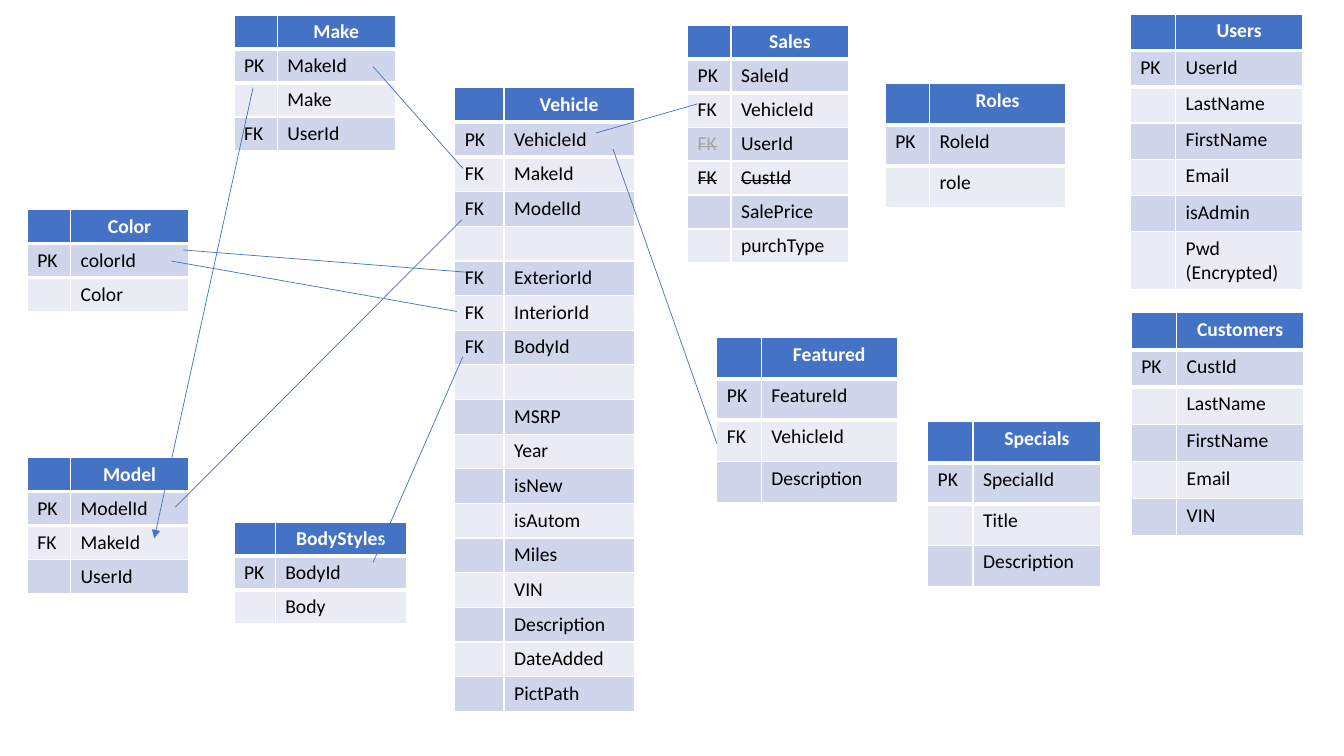
import dataclasses

import pptx
import pptx.dml.color
import pptx.enum.shapes
import pptx.enum.text
import pptx.oxml.ns
import pptx.util
from lxml import etree

Inches = pptx.util.Inches
Pt = pptx.util.Pt
RGB = pptx.dml.color.RGBColor.from_string
qn = pptx.oxml.ns.qn


@dataclasses.dataclass(frozen=True)
class Theme:
    head: str = "4472C4"
    bands: tuple = ("CFD5EA", "E9EBF5")
    light: str = "FFFFFF"
    dark: str = "000000"
    faded: str = "A6A6A6"
    font: str = "Calibri"
    size: int = 14
    line: float = 0.5
    rule: int = 3


THEME = Theme()

# name: left, top, key width, field width, row height, fields as "key name"
TABLES = {
    "Vehicle": (4.51, 0.87, 0.49, 1.29, 0.344, [
        "PK VehicleId", "FK MakeId", "FK ModelId", "", "FK ExteriorId",
        "FK InteriorId", "FK BodyId", "", " MSRP", " Year", " isNew",
        " isAutom", " Miles", " VIN", " Description", " DateAdded", " PictPath"]),
    "Users": (11.21, 0.14, 0.45, 1.26, 0.36, [
        "PK UserId", " LastName", " FirstName", " Email", " isAdmin",
        " Pwd (Encrypted)"]),
    "Specials": (9.2, 4.18, 0.45, 1.27, 0.41, [
        "PK SpecialId", " Title", " Description"]),
    "Featured": (7.11, 3.35, 0.44, 1.35, 0.41, [
        "PK FeatureId", "FK VehicleId", " Description"]),
    "Color": (0.27, 2.08, 0.43, 1.17, 0.33, ["PK colorId", " Color"]),
    "BodyStyles": (2.32, 5.18, 0.41, 1.3, 0.33, ["PK BodyId", " Body"]),
    "Make": (2.32, 0.15, 0.43, 1.17, 0.33, ["PK MakeId", " Make", "FK UserId"]),
    "Model": (0.27, 4.54, 0.43, 1.17, 0.33, [
        "PK ModelId", "FK MakeId", " UserId"]),
    "Sales": (6.82, 0.25, 0.43, 1.17, 0.33, [
        "PK SaleId", "FK VehicleId", "FK UserId", "FK CustId", " SalePrice",
        " purchType"]),
    "Customers": (11.22, 3.1, 0.45, 1.26, 0.37, [
        "PK CustId", " LastName", " FirstName", " Email", " VIN"]),
    "Roles": (8.78, 0.83, 0.44, 1.35, 0.41, ["PK RoleId", " role"]),
}
LAST = {"Users": 0.55}  # height of a last row that wraps

# table, row, column: colour of the struck-out text
STRUCK = {
    ("Sales", 3, 0): THEME.faded,
    ("Sales", 4, 0): THEME.dark,
    ("Sales", 4, 1): THEME.dark,
}

# start x, start y, end x, end y, arrowhead at the end
LINKS = [
    (1.74, 5.03, 4.58, 2.18, False),
    (3.7, 0.66, 4.59, 1.67, False),
    (1.7, 2.59, 4.53, 3.09, False),
    (3.7, 5.58, 4.59, 3.54, False),
    (5.91, 1.32, 6.92, 1.03, False),
    (2.51, 0.87, 1.53, 5.34, True),
    (6.08, 1.48, 7.11, 4.4, False),
    (1.82, 2.48, 4.62, 2.7, False),
]


def fill_cell(cell, text, back, color, bold=False, strike=False):
    cell.fill.solid()
    cell.fill.fore_color.rgb = RGB(back)
    para = cell.text_frame.paragraphs[0]
    if not text:
        # keeps an empty row as low as a row with text
        end = etree.SubElement(para._p, qn("a:endParaRPr"))
        end.set("sz", str(THEME.size * 100))
        return
    run = para.add_run()
    run.text = text
    form = {"name": THEME.font, "size": Pt(THEME.size), "bold": bold}
    for key, value in form.items():
        setattr(run.font, key, value)
    run.font.color.rgb = RGB(color)
    if strike:
        run._r.get_or_add_rPr().set("strike", "sngStrike")


def rule_cell(cell, side):
    """Draw the thick rule between header and fields on one cell side."""
    edge = etree.Element(qn(side), w=str(Pt(THEME.rule)))
    fill = etree.SubElement(edge, qn("a:solidFill"))
    etree.SubElement(fill, qn("a:srgbClr"), val=THEME.light)
    cell._tc.get_or_add_tcPr().insert(0, edge)


def add_entity(slide, name, left, top, keys, names, height, fields):
    """Draw one database table: a header, then a key and a name per field."""
    count = len(fields) + 1
    table = slide.shapes.add_table(
        count, 2, Inches(left), Inches(top), Inches(keys + names),
        Inches(height * count)).table
    for col, width in zip(table.columns, (keys, names)):
        col.width = Inches(width)
    for row in table.rows:
        row.height = Inches(height)
    table.rows[count - 1].height = Inches(LAST.get(name, height))

    for col, text in enumerate(("", name)):
        fill_cell(table.cell(0, col), text, THEME.head, THEME.light, bold=True)
        rule_cell(table.cell(0, col), "a:lnB")
        rule_cell(table.cell(1, col), "a:lnT")
    title = table.cell(0, 1).text_frame.paragraphs[0]
    title.alignment = pptx.enum.text.PP_ALIGN.CENTER

    for row, field in enumerate(fields, 1):
        key, _, label = field.partition(" ")
        for col, text in enumerate((key, label)):
            spot = (name, row, col)
            fill_cell(table.cell(row, col), text, THEME.bands[(row - 1) % 2],
                      STRUCK.get(spot, THEME.dark), strike=spot in STRUCK)


def add_link(slide, x1, y1, x2, y2, arrow):
    link = slide.shapes.add_connector(
        pptx.enum.shapes.MSO_CONNECTOR.STRAIGHT,
        Inches(x1), Inches(y1), Inches(x2), Inches(y2))
    link.line.color.rgb = RGB(THEME.head)
    link.line.width = Pt(THEME.line)
    props = link._element.spPr
    if arrow:
        tail = etree.SubElement(props.find(qn("a:ln")), qn("a:tailEnd"))
        tail.set("type", "triangle")
    etree.SubElement(props, qn("a:effectLst"))


def main():
    deck = pptx.Presentation()
    deck.slide_width = Inches(13.33)
    deck.slide_height = Inches(7.5)
    slide = deck.slides.add_slide(deck.slide_layouts.get_by_name("Blank"))
    for name, parts in TABLES.items():
        add_entity(slide, name, *parts)
    for link in LINKS:
        add_link(slide, *link)
    deck.save("out.pptx")


if __name__ == "__main__":
    main()
